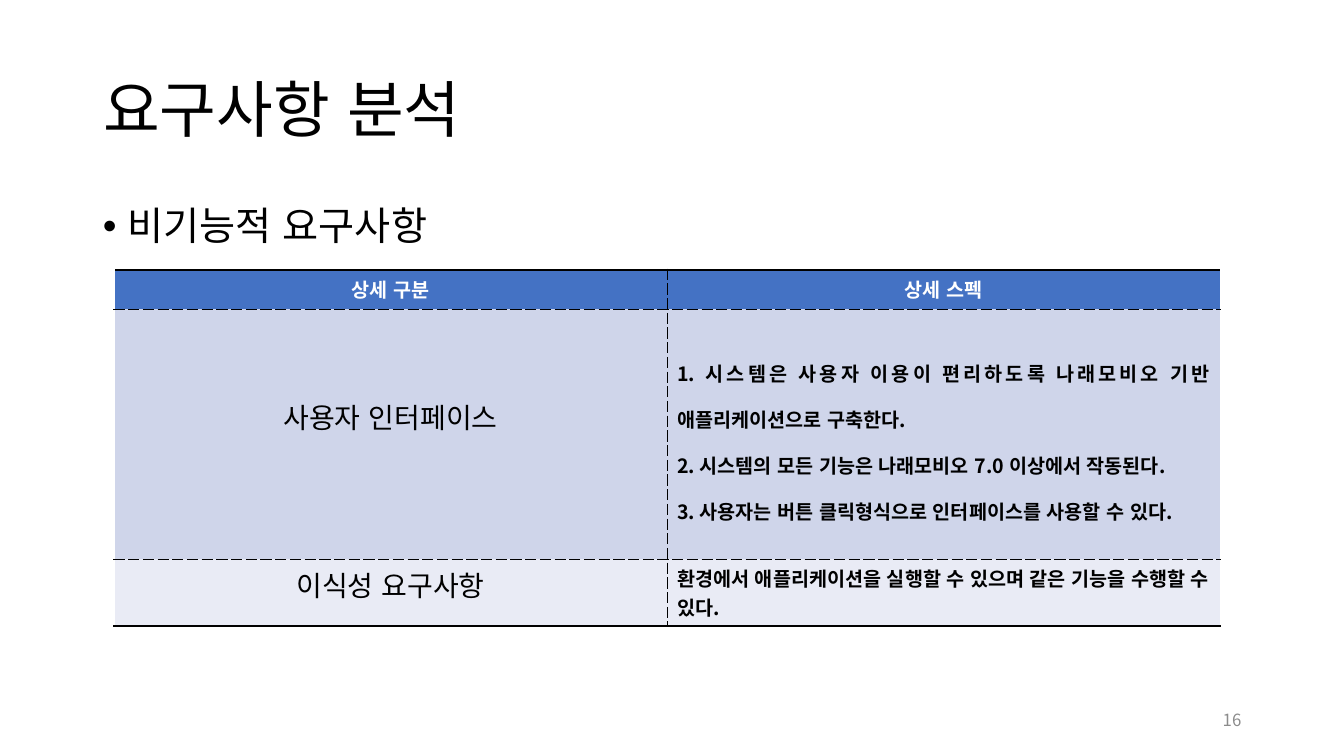
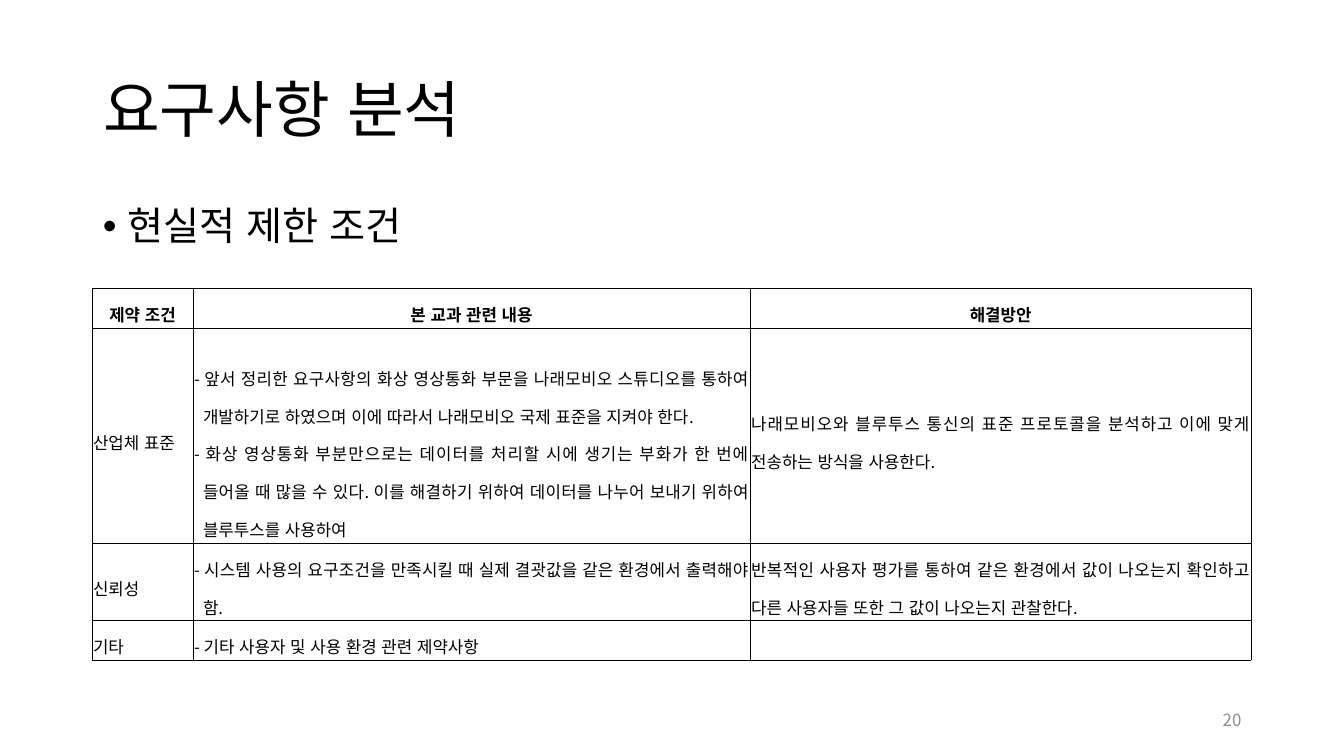
"""Two requirement-analysis slides, each with a heading, a bullet and a table."""
from lxml import etree
from pptx import Presentation
from pptx import util as u
from pptx.dml.color import RGBColor
from pptx.enum import lang, text
from pptx.oxml.ns import qn

PX = 914400 / 100.8
FONT = "Noto Sans CJK KR"
BLACK = RGBColor(0x00, 0x00, 0x00)
WHITE = RGBColor(0xFF, 0xFF, 0xFF)
GRAY = RGBColor(0x8C, 0x8C, 0x8C)
BLUE = RGBColor(0x44, 0x72, 0xC4)
PALE_BLUE = RGBColor(0xCF, 0xD5, 0xEA)
PALE_GRAY = RGBColor(0xE9, 0xEB, 0xF5)
LEFT, CENTER, RIGHT, JUSTIFY = (
    text.PP_ALIGN.LEFT, text.PP_ALIGN.CENTER, text.PP_ALIGN.RIGHT, text.PP_ALIGN.JUSTIFY)
MIDDLE = text.MSO_ANCHOR.MIDDLE
TITLE = "요구사항 분석"

PAGES = [
    ("비기능적 요구사항", "16", (114, 270), [553, 553], [39, 250, 67]),
    ("현실적 제한 조건", "20", (92, 288), [101, 557, 501], [40, 215, 77, 40]),
]

NEEDS = [
    [["상세 구분"], ["상세 스펙"]],
    [["사용자 인터페이스"],
     ["1. 시스템은 사용자 이용이 편리하도록 나래모비오 기반 애플리케이션으로 구축한다.",
      "2. 시스템의 모든 기능은 나래모비오 7.0 이상에서 작동된다.",
      "3. 사용자는 버튼 클릭형식으로 인터페이스를 사용할 수 있다."]],
    [["이식성 요구사항"],
     ["환경에서 애플리케이션을 실행할 수 있으며 같은 기능을 수행할 수 있다."]],
]

LIMITS = [
    [["제약 조건"], ["본 교과 관련 내용"], ["해결방안"]],
    [["산업체 표준"],
     ["- 앞서 정리한 요구사항의 화상 영상통화 부문을 나래모비오 스튜디오를 통하여 "
      "개발하기로 하였으며 이에 따라서 나래모비오 국제 표준을 지켜야 한다.",
      "- 화상 영상통화 부분만으로는 데이터를 처리할 시에 생기는 부화가 한 번에 "
      "들어올 때 많을 수 있다. 이를 해결하기 위하여 데이터를 나누어 보내기 위하여 "
      "블루투스를 사용하여"],
     ["나래모비오와 블루투스 통신의 표준 프로토콜을 분석하고 이에 맞게 전송하는 방식을 사용한다."]],
    [["신뢰성"],
     ["- 시스템 사용의 요구조건을 만족시킬 때 실제 결괏값을 같은 환경에서 출력해야 함."],
     ["반복적인 사용자 평가를 통하여 같은 환경에서 값이 나오는지 확인하고 "
      "다른 사용자들 또한 그 값이 나오는지 관찰한다."]],
    [["기타"], ["- 기타 사용자 및 사용 환경 관련 제약사항"], []],
]


def write(frame, lines, size, color=BLACK, bold=False, align=LEFT, spacing=1.0):
    """Put each line in its own paragraph and return the paragraphs."""
    for index, line in enumerate(lines):
        para = frame.add_paragraph() if index else frame.paragraphs[0]
        para.alignment = align
        para.line_spacing = spacing
        span = para.add_run()
        span.text = line
        span.font.size = u.Pt(size)
        span.font.bold = bold
        span.font.color.rgb = color
        span.font.language_id = lang.MSO_LANGUAGE_ID.KOREAN
        span.font.name = FONT
        etree.SubElement(span._r.get_or_add_rPr(), qn("a:ea"), typeface=FONT)
    return frame.paragraphs


def draw_borders(cell, borders):
    """Draw the left, right, top and bottom border from (colour, points, dash)."""
    for side, (color, width, dash) in zip("LRTB", borders):
        line = etree.SubElement(cell._tc.get_or_add_tcPr(), qn(f"a:ln{side}"), w=str(u.Pt(width)))
        fill = etree.SubElement(line, qn("a:solidFill"))
        etree.SubElement(fill, qn("a:srgbClr"), val=str(color))
        etree.SubElement(line, qn("a:prstDash"), val=dash)


deck = Presentation()
deck.slide_width, deck.slide_height = u.Inches(13.33), u.Inches(7.5)
tables = []

for topic, number, corner, columns, rows in PAGES:
    page = deck.slides.add_slide(deck.slide_layouts[5])
    title = page.shapes.title
    title.left, title.top, title.width, title.height = [round(n * PX) for n in (93, 40, 1159, 146)]
    title.text_frame.auto_size = text.MSO_AUTO_SIZE.NONE
    title.text_frame.vertical_anchor = MIDDLE
    write(title.text_frame, [TITLE], 44, spacing=0.9)

    box = page.shapes.add_textbox(*[round(n * PX) for n in (93, 202, 1159, 60)])
    box.text_frame.word_wrap = True
    para = box.text_frame.paragraphs[0]
    indent = round(25 * PX)
    properties = para._p.get_or_add_pPr()
    properties.set("marL", str(indent))
    properties.set("indent", str(-indent))
    etree.SubElement(properties, qn("a:buFont"), typeface="Arial")
    etree.SubElement(properties, qn("a:buChar"), char="•")
    write(box.text_frame, [topic], 28, spacing=0.9)

    box = page.shapes.add_textbox(*[round(n * PX) for n in (949, 700, 302, 40)])
    box.text_frame.word_wrap = True
    box.text_frame.vertical_anchor = MIDDLE
    write(box.text_frame, [number], 12, GRAY, align=RIGHT)

    place = [round(n * PX) for n in (*corner, sum(columns), sum(rows))]
    table = page.shapes.add_table(len(rows), len(columns), *place).table
    table.first_row = table.horz_banding = False
    for column, width in zip(table.columns, columns):
        column.width = round(width * PX)
    for row, height in zip(table.rows, rows):
        row.height = round(height * PX)
    tables.append(table)

needs_table, limits_table = tables

EDGE, THICK, DASHED = (WHITE, 1, "solid"), (BLACK, 2.25, "solid"), (BLACK, 0.75, "sysDash")
ACROSS, DOWN = [EDGE, DASHED, EDGE], [THICK, DASHED, DASHED, THICK]
TOP_MARGINS = {(1, 0): 87, (1, 1): 33}
for r, (row, fill) in enumerate(zip(NEEDS, (BLUE, PALE_BLUE, PALE_GRAY))):
    for c, lines in enumerate(row):
        cell = needs_table.cell(r, c)
        draw_borders(cell, ACROSS[c:c + 2] + DOWN[r:r + 2])
        cell.fill.solid()
        cell.fill.fore_color.rgb = fill
        cell.margin_top = round(TOP_MARGINS.get((r, c), 5) * PX)
        if r == 0:
            write(cell.text_frame, lines, 14, WHITE, True, CENTER)
        elif c == 0:
            write(cell.text_frame, lines, 20, align=CENTER)
        elif r == 1:
            write(cell.text_frame, lines, 14, bold=True, align=JUSTIFY, spacing=1.6)
        else:
            write(cell.text_frame, lines, 14, bold=True)

HAIRLINE = (BLACK, 0.28, "solid")
HANGING = round(9 * PX)
for r, row in enumerate(LIMITS):
    for c, lines in enumerate(row):
        cell = limits_table.cell(r, c)
        draw_borders(cell, [HAIRLINE] * 4)
        cell.fill.solid()
        cell.fill.fore_color.rgb = WHITE
        cell.vertical_anchor = MIDDLE
        cell.margin_left = cell.margin_right = cell.margin_bottom = round(PX)
        cell.margin_top = round((24 if (r, c) == (1, 1) else 1) * PX)
        align = JUSTIFY if r else CENTER
        paras = write(cell.text_frame, lines, 12, bold=r == 0, align=align, spacing=1.55)
        if r and c == 1:
            for para in paras:
                para._p.get_or_add_pPr().set("marL", str(HANGING))
                para._p.get_or_add_pPr().set("indent", str(-HANGING))

deck.save("out.pptx")
